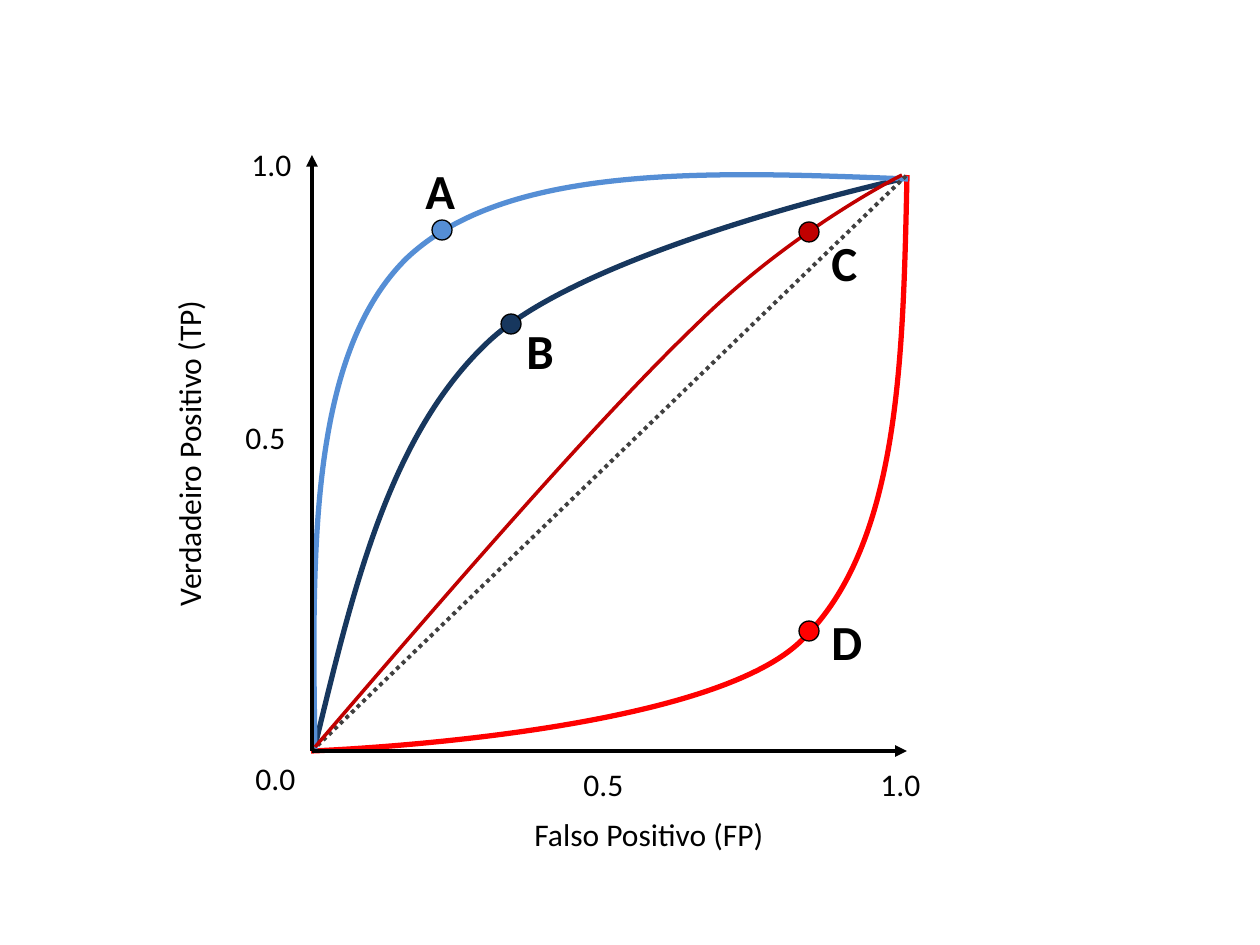
import pptx
import pptx.util
import pptx.dml.color
import pptx.enum.dml
import pptx.enum.shapes
import pptx.enum.text
import pptx.oxml.ns
import pptx.oxml.xmlchemy

SCALE = 914400 / 126
BLACK = "000000"


def px(length):
    return pptx.util.Emu(round(length * SCALE))


def colour(code):
    return pptx.dml.color.RGBColor.from_string(code)


def element(tag):
    return pptx.oxml.xmlchemy.OxmlElement(tag)


class Diagram:
    font = "Calibri"
    dot_size = 20

    def __init__(self, page):
        self.page = page

    def stroke(self, line, code, width):
        line.color.rgb = colour(code)
        line.width = pptx.util.Pt(width)

    def curve(self, points, code, width):
        start, *rest = [(px(x), px(y)) for x, y in points]
        builder = self.page.shapes.build_freeform(*start, scale=1.0)
        builder.add_line_segments(rest, close=False)
        shape = builder.convert_to_shape()
        shape.shadow.inherit = False
        shape.fill.background()
        self.stroke(shape.line, code, width)
        qn = pptx.oxml.ns.qn
        outline = next(shape._element.iter(qn("a:path")))
        segments = outline.findall(qn("a:lnTo"))
        for first in range(0, len(segments), 3):
            bezier = element("a:cubicBezTo")
            for segment in segments[first:first + 3]:
                bezier.append(segment[0])
                outline.remove(segment)
            outline.append(bezier)

    def dot(self, x, y, code):
        half = self.dot_size / 2
        shape = self.page.shapes.add_shape(
            pptx.enum.shapes.MSO_SHAPE.OVAL,
            px(x - half), px(y - half), px(self.dot_size), px(self.dot_size))
        shape.shadow.inherit = False
        shape.fill.solid()
        shape.fill.fore_color.rgb = colour(code)
        self.stroke(shape.line, BLACK, 0.75)

    def line(self, start, end, code, arrow=False, dash=None):
        connector = self.page.shapes.add_connector(
            pptx.enum.shapes.MSO_CONNECTOR.STRAIGHT,
            px(start[0]), px(start[1]), px(end[0]), px(end[1]))
        self.stroke(connector.line, code, 2.25)
        if dash is not None:
            connector.line.dash_style = dash
        properties = connector._element.spPr
        if arrow:
            head = element("a:tailEnd")
            head.set("type", "triangle")
            properties.find(pptx.oxml.ns.qn("a:ln")).append(head)
        properties.append(element("a:effectLst"))

    def text(self, words, x, y, width, height=50, size=18, bold=False, turn=0):
        box = self.page.shapes.add_textbox(px(x), px(y), px(width), px(height))
        box.rotation = turn
        frame = box.text_frame
        frame.word_wrap = False
        frame.auto_size = pptx.enum.text.MSO_AUTO_SIZE.SHAPE_TO_FIT_TEXT
        span = frame.paragraphs[0].add_run()
        span.text = words
        span.font.name = self.font
        span.font.size = pptx.util.Pt(size)
        span.font.bold = bold
        span.font.color.rgb = colour(BLACK)


def main():
    deck = pptx.Presentation()
    deck.slide_width = px(1260)
    deck.slide_height = px(945)
    diagram = Diagram(deck.slides.add_slide(deck.slide_layouts[6]))

    origin = (312, 751)
    corner = (907, 175)
    curves = [
        ("FF0000", 3, [corner, (903, 360), (900, 546), (801, 641),
                       (702, 737), (311, 751), (311, 751)]),
        ("17375E", 3, [(316, 742), (353, 590), (389, 437), (486, 344),
                       (583, 249), (902, 179), (902, 179)]),
        ("558ED5", 3, [(315, 750), (312, 552), (309, 354), (407, 258),
                       (507, 164), (707, 171), (908, 179)]),
        ("C00000", 2, [(315, 747), (456, 583), (597, 420), (696, 325),
                       (793, 229), (902, 175), (902, 175)]),
    ]
    for code, width, points in curves[:3]:
        diagram.curve(points, code, width)
    diagram.line(origin, corner, "404040",
                 dash=pptx.enum.dml.MSO_LINE.ROUND_DOT)
    diagram.line(origin, (312, 155), BLACK, arrow=True)
    diagram.line(origin, (907, 751), BLACK, arrow=True)
    code, width, points = curves[3]
    diagram.curve(points, code, width)

    for name, dot_x, dot_y, code, x, y, width in [
        ("A", 442, 230, "558ED5", 413, 154, 55),
        ("C", 809, 232, "C00000", 819, 226, 52),
        ("B", 511, 324, "17375E", 514, 314, 53),
        ("D", 809, 631, "FF0000", 819, 605, 57),
    ]:
        diagram.dot(dot_x, dot_y, code)
        diagram.text(name, x, y, width, height=72, size=28, bold=True)

    for value, x, y in [
        ("0.0", 243, 753),
        ("0.5", 571, 759),
        ("1.0", 868, 759),
        ("0.5", 233, 412),
        ("1.0", 239, 139),
    ]:
        diagram.text(value, x, y, 66)
    diagram.text("Verdadeiro Positivo (TP)", 21, 426, 335, turn=270)
    diagram.text("Falso Positivo (FP)", 522, 809, 257)

    deck.save("out.pptx")


if __name__ == "__main__":
    main()
